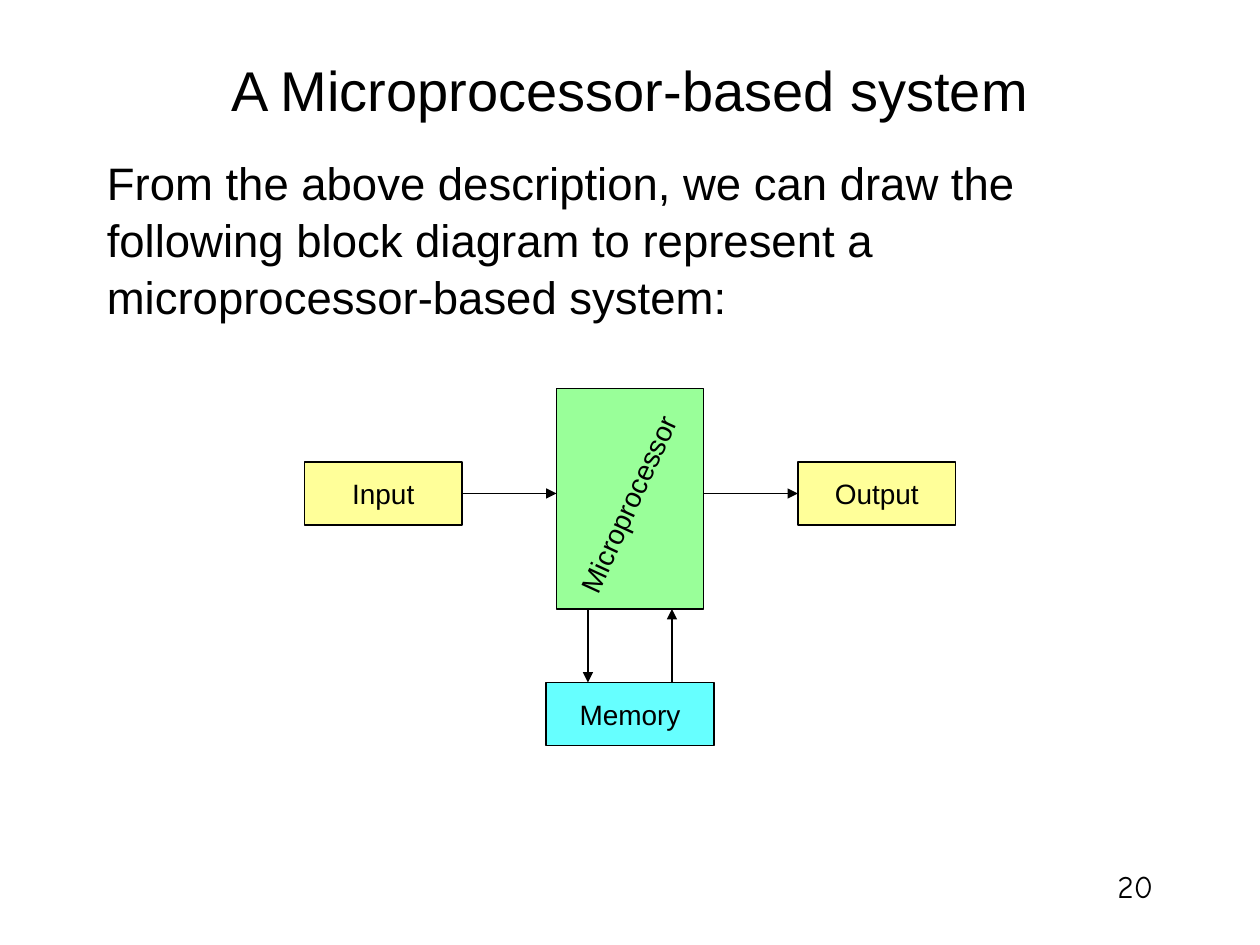
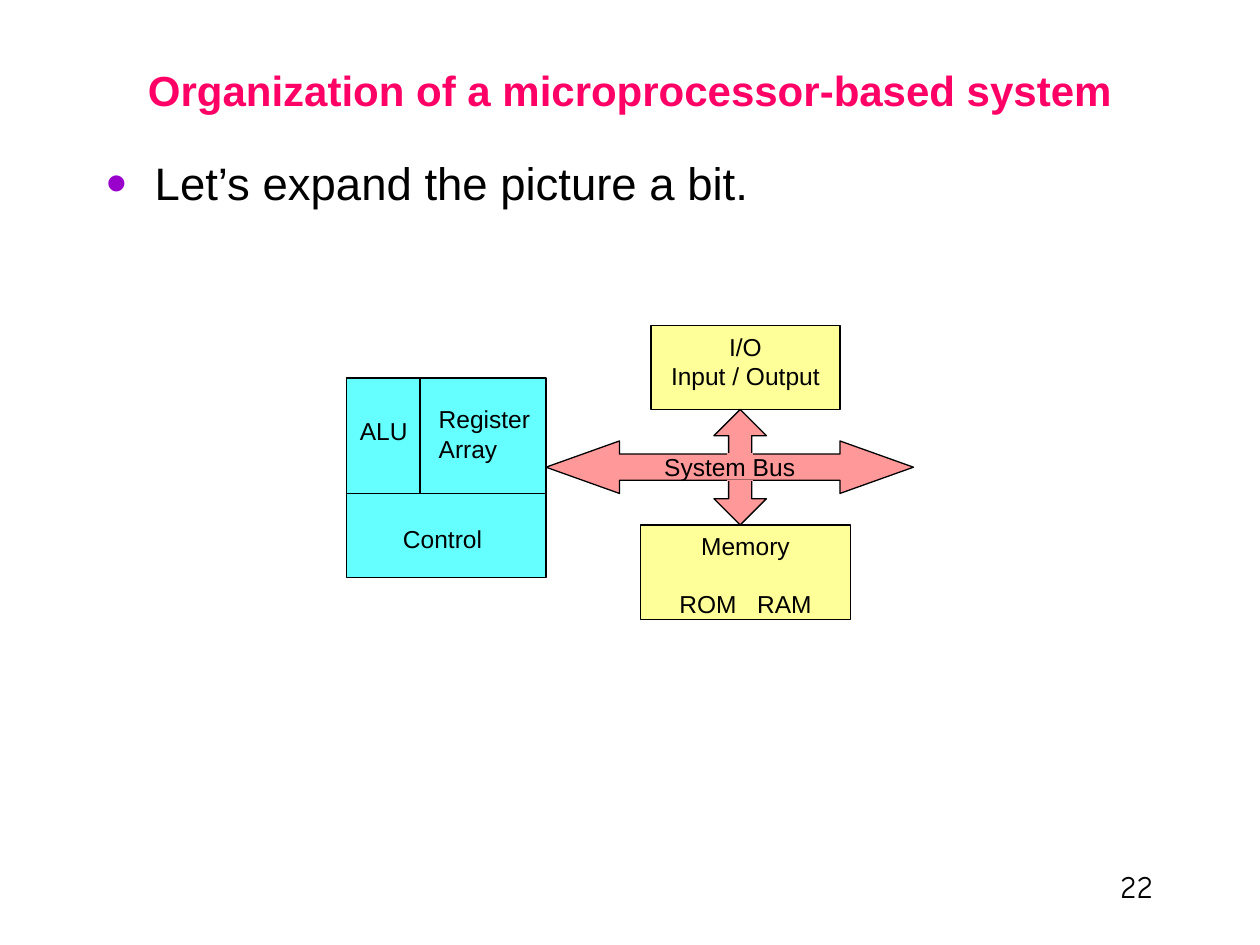
"""Build two slides of block diagrams of a microprocessor-based system."""
from dataclasses import dataclass

import lxml.etree
import pptx
import pptx.dml.color
import pptx.enum.shapes
import pptx.enum.text
import pptx.oxml.ns
import pptx.util

COLORS = {
    "ink": "000000",
    "pink": "FF0066",
    "bullet": "9900CC",
    "cyan": "66FFFF",
    "green": "99FF99",
    "yellow": "FFFF99",
    "bus": "FF9999",
}
FONT, NUMBER_FONT = "Arial", "Comic Neue"
WIDTH, HEIGHT = pptx.util.Inches(10), pptx.util.Inches(7.5)
COLUMNS, ROWS = 120, 90
SHAPE = pptx.enum.shapes.MSO_SHAPE
ALIGN = pptx.enum.text.PP_ALIGN
ANCHOR = pptx.enum.text.MSO_ANCHOR


@dataclass
class Block:
    """A filled shape, placed in grid columns and rows."""
    col: float
    row: float
    cols: float
    rows: float
    fill: str
    text: str = ""
    size: float = 14
    kind: SHAPE = SHAPE.RECTANGLE
    adjust: tuple = ()
    anchor: ANCHOR = ANCHOR.MIDDLE
    para_gap: float = 0
    word_gap: float = 0


@dataclass
class Label:
    """Free text, placed in grid columns and rows."""
    col: float
    row: float
    cols: float
    rows: float
    text: str
    size: float = 14
    align: ALIGN = ALIGN.LEFT
    rotation: float = 0


@dataclass
class Wire:
    """A straight line between two grid points."""
    col: float
    row: float
    end_col: float
    end_row: float
    color: str = "ink"
    arrow: bool = False


def x(col: float) -> int:
    """Turn grid columns into a length."""
    return round(WIDTH * col / COLUMNS)


def y(row: float) -> int:
    """Turn grid rows into a length."""
    return round(HEIGHT * row / ROWS)


def rgb(name: str) -> pptx.dml.color.RGBColor:
    """Look up a named colour."""
    return pptx.dml.color.RGBColor.from_string(COLORS[name])


def sub(parent, tag: str, **attrs: str):
    """Append a drawing element to a parent element."""
    return lxml.etree.SubElement(parent, pptx.oxml.ns.qn(tag), attrs)


def add_bullet(p) -> None:
    """Give a paragraph a hanging round bullet."""
    pPr = p._p.get_or_add_pPr()
    indent = pptx.util.Inches(0.38)
    pPr.set("marL", str(indent))
    pPr.set("indent", str(-indent))
    sub(sub(pPr, "a:buClr"), "a:srgbClr", val=COLORS["bullet"])
    sub(pPr, "a:buSzPct", val="130000")
    sub(pPr, "a:buFont", typeface=FONT)
    sub(pPr, "a:buChar", char="•")


def write(sp, text: str, *, size: float, font: str = FONT, color: str = "ink",
          bold: bool = False, align: ALIGN = ALIGN.CENTER,
          anchor: ANCHOR = ANCHOR.TOP, wrap: bool = True, spacing: float = 1,
          para_gap: float = 0, word_gap: float = 0, bullet: bool = False) -> None:
    """Write formatted paragraphs, one for each line of text, into a shape."""
    tf = sp.text_frame
    tf.word_wrap = wrap
    tf.vertical_anchor = anchor
    for i, line in enumerate(text.split("\n")):
        p = tf.add_paragraph() if i else tf.paragraphs[0]
        p.alignment = align
        p.line_spacing = spacing
        if i and para_gap:
            p.space_before = pptx.util.Pt(para_gap)
        if bullet:
            add_bullet(p)
        for part in line.partition(" ") if word_gap else [line]:
            if not part:
                continue
            r = p.add_run()
            r.text = part
            r.font.name = font
            r.font.size = pptx.util.Pt(size)
            r.font.bold = bold
            r.font.color.rgb = rgb(color)
            if part == " ":
                r.font._element.set("spc", str(round(word_gap * 100)))


def add_text(s, col: float, row: float, cols: float, rows: float, text: str, **style):
    """Add a text box on the grid."""
    sp = s.shapes.add_textbox(x(col), y(row), x(cols), y(rows))
    write(sp, text, **style)
    return sp


def draw_block(s, b: Block) -> None:
    """Draw a filled shape with its caption."""
    sp = s.shapes.add_shape(b.kind, x(b.col), y(b.row), x(b.cols), y(b.rows))
    sp.shadow.inherit = False
    sp.fill.solid()
    sp.fill.fore_color.rgb = rgb(b.fill)
    sp.line.color.rgb = rgb("ink")
    sp.line.width = pptx.util.Pt(0.75)
    for i, value in enumerate(b.adjust):
        sp.adjustments[i] = value
    if b.text:
        write(sp, b.text, size=b.size, anchor=b.anchor,
              wrap=b.anchor == ANCHOR.TOP, para_gap=b.para_gap, word_gap=b.word_gap)


def draw_label(s, t: Label) -> None:
    """Draw free text."""
    sp = add_text(s, t.col, t.row, t.cols, t.rows, t.text,
                  size=t.size, align=t.align, wrap=False)
    sp.rotation = t.rotation


def draw_wire(s, w: Wire) -> None:
    """Draw a line, with an arrowhead at its end if asked."""
    sp = s.shapes.add_connector(pptx.enum.shapes.MSO_CONNECTOR.STRAIGHT,
                                x(w.col), y(w.row), x(w.end_col), y(w.end_row))
    sp.line.color.rgb = rgb(w.color)
    sp.line.width = pptx.util.Pt(0.75)
    if w.arrow:
        sub(sp.line._get_or_add_ln(), "a:tailEnd", type="triangle")
    sub(sp._element.spPr, "a:effectLst")


DRAW = {Block: draw_block, Label: draw_label, Wire: draw_wire}


def add_slide(prs, number: int, title: str, body: str, parts: list,
              title_style: dict, bullet: bool = False) -> None:
    """Add a slide with title, body, page number and diagram."""
    s = prs.slides.add_slide(prs.slide_layouts[6])
    add_text(s, 103.2, 82, 7.8, 6, str(number), size=18, font=NUMBER_FONT,
             align=ALIGN.RIGHT)
    add_text(s, 9, 4, 102, 9, title, anchor=ANCHOR.MIDDLE, **title_style)
    add_text(s, 9, 14, 102, 67, body, size=26, align=ALIGN.LEFT, spacing=1.04,
             bullet=bullet)
    for part in parts:
        DRAW[type(part)](s, part)


SYSTEM = [
    Block(52, 65, 16, 6, "cyan", "Memory", 16),
    Block(53, 37, 14, 21, "green"),
    Block(76, 44, 15, 6, "yellow", "Output", 16),
    Block(29, 44, 15, 6, "yellow", "Input", 16),
    Label(48.8, 45.8, 22, 4.4, "Microprocessor", 16, ALIGN.CENTER, 294.7),
    Wire(56, 58, 56, 65, arrow=True),
    Wire(64, 65, 64, 58, arrow=True),
    Wire(44, 47, 53, 47, arrow=True),
    Wire(67, 47, 76, 47, arrow=True),
]
ORGANIZATION = [
    Block(33, 36, 19, 19, "cyan"),
    Block(62, 31, 18, 8, "yellow", "I/O\nInput / Output", anchor=ANCHOR.TOP),
    Block(68, 39, 5, 11, "bus", kind=SHAPE.UP_DOWN_ARROW, adjust=(0.5, 0.44)),
    Block(61, 50, 20, 9, "yellow", "Memory\nROM RAM", anchor=ANCHOR.TOP,
          para_gap=16, word_gap=7.8),
    Wire(33, 47, 52, 47),
    Wire(40, 47, 40, 36),
    Block(52, 42, 35, 5, "bus", "System Bus", kind=SHAPE.LEFT_RIGHT_ARROW,
          adjust=(0.5, 1.4)),
    *(Wire(69.25, row, 71.75, row, "bus") for row in (43.25, 45.75)),
    Label(33.1, 39, 8.2, 4, "ALU"),
    Label(40.6, 37.9, 12.2, 6.8, "Register\nArray"),
    Label(37.2, 49.3, 11, 4, "Control"),
]


def main() -> None:
    """Build and save the presentation."""
    prs = pptx.Presentation()
    prs.slide_width, prs.slide_height = WIDTH, HEIGHT
    add_slide(prs, 20, "A Microprocessor-based system",
              "From the above description, we can draw the following block diagram "
              "to represent a microprocessor-based system:",
              SYSTEM, {"size": 32})
    add_slide(prs, 22, "Organization of a microprocessor-based system",
              "Let’s expand the picture a bit.", ORGANIZATION,
              {"size": 24, "color": "pink", "bold": True}, bullet=True)
    prs.save("out.pptx")


main()
